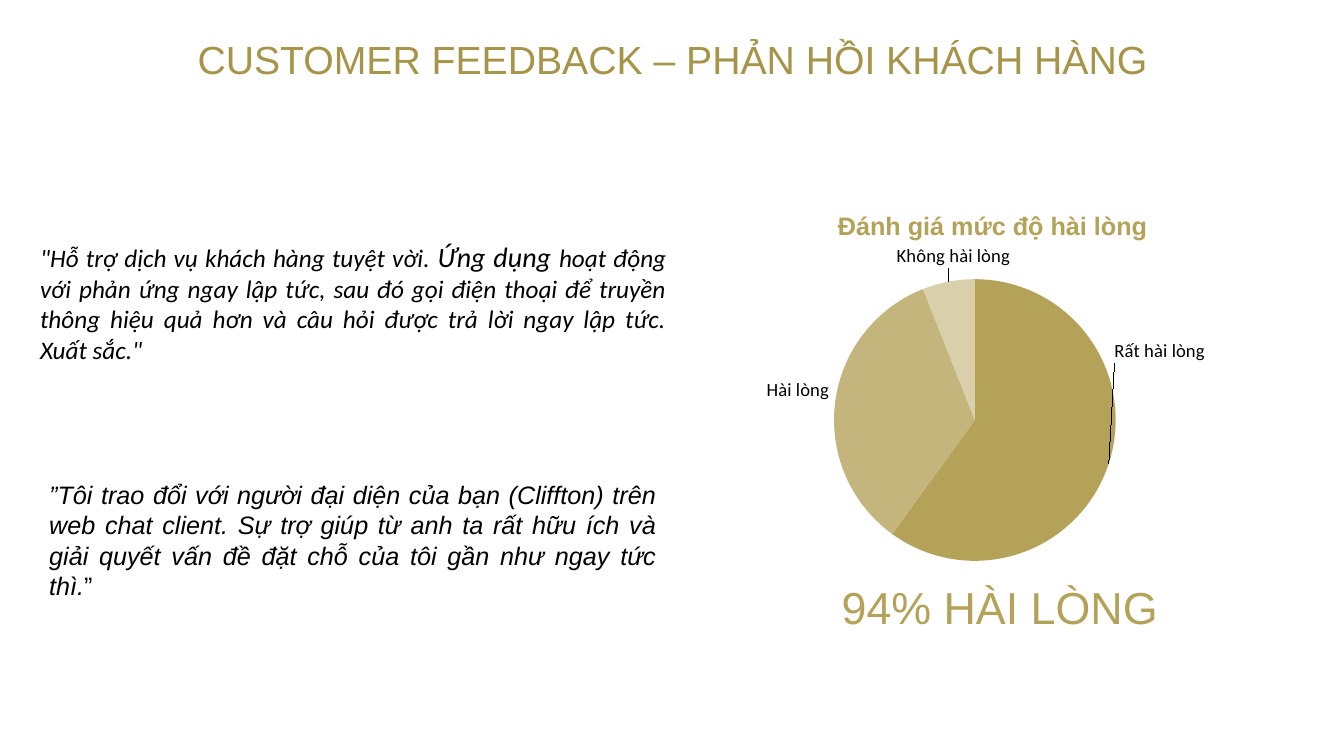
import lxml.etree
import pptx
import pptx.chart.data
import pptx.dml.color
import pptx.enum.chart
import pptx.enum.text
import pptx.oxml
import pptx.oxml.ns
import pptx.util

Cm = pptx.util.Cm
Pt = pptx.util.Pt
PP_ALIGN = pptx.enum.text.PP_ALIGN
COLORS = {
    "title": "A69448",
    "gold": "B3A258",
    "medium": "C3B57B",
    "pale": "D9D0AB",
    "text": "000000",
}


def style(font, name, size, color, bold=False, italic=False):
    font.name = name
    font.size = Pt(size)
    font.bold = bold
    font.italic = italic
    font.color.rgb = pptx.dml.color.RGBColor.from_string(COLORS[color])


def set_layout(parent, index, **settings):
    """Give a chart element a manual layout as its child number index."""
    qn = pptx.oxml.ns.qn
    for existing in parent.findall(qn("c:layout")):
        parent.remove(existing)
    layout = pptx.oxml.parse_xml("<c:layout %s/>" % pptx.oxml.ns.nsdecls("c"))
    manual = lxml.etree.SubElement(layout, qn("c:manualLayout"))
    for tag, value in settings.items():
        lxml.etree.SubElement(manual, qn("c:" + tag)).set("val", str(value))
    parent.insert(index, layout)


presentation = pptx.Presentation()
presentation.slide_width = Cm(33.87)
presentation.slide_height = Cm(19.05)
slide = presentation.slides.add_slide(presentation.slide_layouts[5])

# Title
title = slide.shapes.title
title.left, title.top, title.width, title.height = Cm(2.34), Cm(0.23), Cm(29.21), Cm(2.67)
title.text_frame.text = "CUSTOMER FEEDBACK – PHẢN HỒI KHÁCH HÀNG"
title.text_frame.vertical_anchor = pptx.enum.text.MSO_ANCHOR.MIDDLE
paragraph = title.text_frame.paragraphs[0]
paragraph.alignment = PP_ALIGN.CENTER
paragraph.line_spacing = 0.9
style(paragraph.runs[0].font, "Arial", 28, "title")

# Satisfaction pie
chart_data = pptx.chart.data.CategoryChartData()
chart_data.categories = ["Very Satisfied", "Satisfied", "Unsatisfied"]
chart_data.add_series("Series 1", (60, 34, 6))
chart = slide.shapes.add_chart(
    pptx.enum.chart.XL_CHART_TYPE.PIE, Cm(17.04), Cm(4.67), Cm(15.85), Cm(9.86), chart_data
).chart
style(chart.font, "Calibri", 10, "text")
chart.has_legend = False
chart.has_title = True
chart_title = chart.chart_title
chart_title.text_frame.text = "Đánh giá mức độ hài lòng"
style(chart_title.text_frame.paragraphs[0].runs[0].font, "Arial", 18, "gold", bold=True)

outside = pptx.enum.chart.XL_LABEL_POSITION.OUTSIDE_END
series = chart.plots[0].series[0]
labels = series.data_labels
labels.show_category_name = True
labels.show_value = False
labels.position = outside
style(labels.font, "Calibri", 13.3, "text")
slices = [("Rất hài lòng", "gold"), ("Hài lòng", "medium"), ("Không hài lòng", "pale")]
for index, (caption, color) in enumerate(slices):
    point = series.points[index]
    point.format.fill.solid()
    point.format.fill.fore_color.rgb = pptx.dml.color.RGBColor.from_string(COLORS[color])
    label = point.data_label
    label.text_frame.text = caption
    style(label.text_frame.paragraphs[0].runs[0].font, "Calibri", 13.3, "text")
    label.position = outside

chart_xml = chart._chartSpace
set_layout(chart_xml.xpath("c:chart/c:title")[0], 1, xMode="edge", yMode="edge", x=0.25, y=0.05)
set_layout(chart_xml.xpath("c:chart/c:plotArea")[0], 0, layoutTarget="inner",
           xMode="edge", yMode="edge", x=0.25, y=0.24, w=0.45, h=0.72)
for index, x, y in [(0, 0, -0.32), (2, 0.1, -0.02)]:
    set_layout(chart_xml.xpath(f".//c:dLbl[c:idx/@val='{index}']")[0], 1, x=x, y=y)

# Headline figure and quotes: box, alignment, then runs of text, font, size, colour, italic
text_boxes = [
    ((20.96, 14.48, 8.99, 1.63), PP_ALIGN.LEFT,
     [("94% HÀI LÒNG", "Arial", 32, "gold", False)]),
    ((0.76, 5.92, 16.28, 3.43), PP_ALIGN.JUSTIFY,
     [('"Hỗ trợ dịch vụ khách hàng tuyệt vời. ', "Calibri", 18, "text", True),
      ("Ứng dụng ", "Calibri", 20, "text", True),
      ("hoạt động với phản ứng ngay lập tức, sau đó gọi điện thoại để truyền thông "
       'hiệu quả hơn và câu hỏi được trả lời ngay lập tức. Xuất sắc."',
       "Calibri", 18, "text", True)]),
    ((0.99, 11.96, 15.8, 3.33), PP_ALIGN.JUSTIFY,
     [("”Tôi trao đổi với người đại diện của bạn (Cliffton) trên web chat client. "
       "Sự trợ giúp từ anh ta rất hữu ích và giải quyết vấn đề đặt chỗ của tôi "
       "gần như ngay tức thì.", "Arial", 18, "text", True),
      ("”", "Arial", 18, "text", False)]),
]
for box, alignment, runs in text_boxes:
    text_frame = slide.shapes.add_textbox(*map(Cm, box)).text_frame
    text_frame.word_wrap = True
    text_frame.auto_size = pptx.enum.text.MSO_AUTO_SIZE.SHAPE_TO_FIT_TEXT
    paragraph = text_frame.paragraphs[0]
    paragraph.alignment = alignment
    for text, name, size, color, italic in runs:
        run = paragraph.add_run()
        run.text = text
        style(run.font, name, size, color, italic=italic)

presentation.save("out.pptx")
